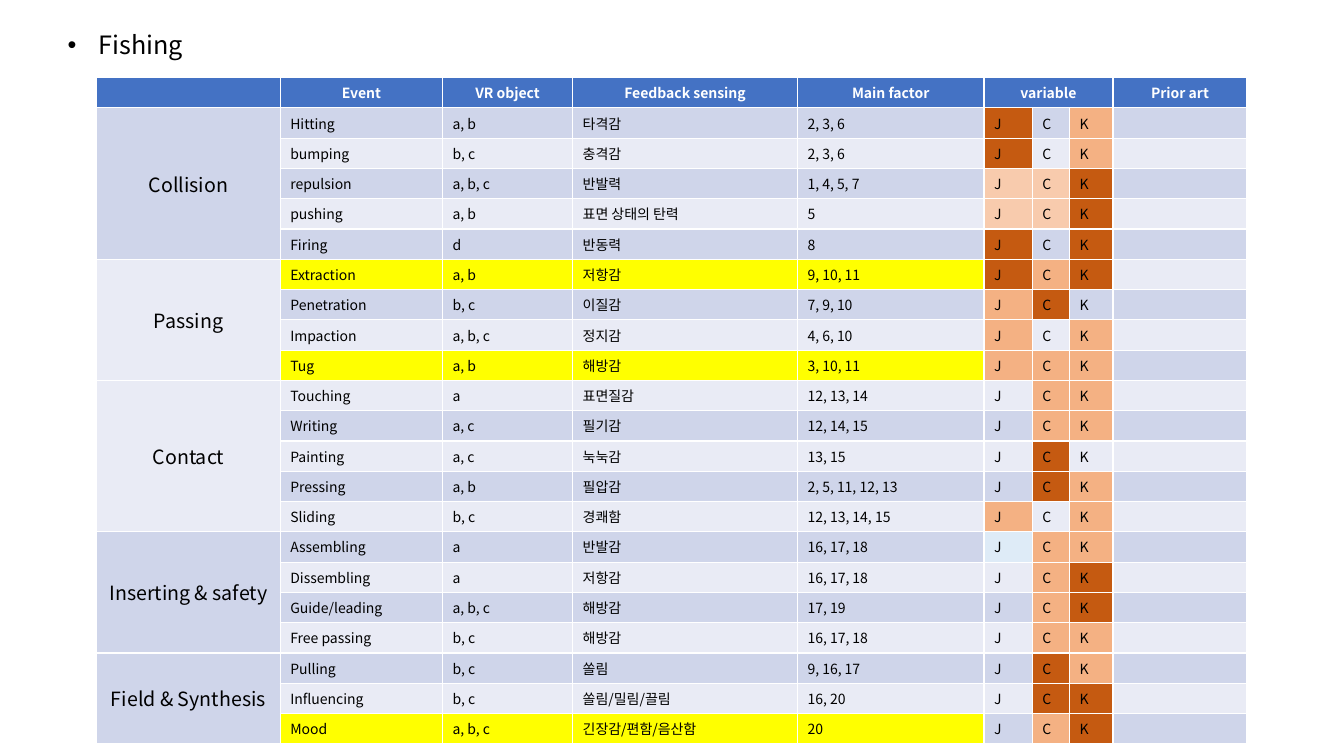
from itertools import accumulate

from lxml.etree import SubElement
from pptx import Presentation
from pptx.dml.color import RGBColor
from pptx.enum.text import MSO_ANCHOR as Anchor, PP_ALIGN as Align
from pptx.oxml.ns import qn
from pptx.util import Inches, Pt

FONT = "Noto Sans CJK KR"
COLORS = {
    "header": "4472C4", "white": "FFFFFF", "black": "000000",
    "odd": "CFD5EA", "even": "E9EBF5", "highlight": "FFFF00",
    "strong": "C55A11", "medium": "F4B183", "light": "F8CBAD", "blue": "DEEBF7",
}
# One letter per variable J, C, K; "." keeps the band colour
LEVELS = {"S": "strong", "M": "medium", "L": "light", "B": "blue"}
VARIABLES = "JCK"
FIRST_VARIABLE = 5

HEADERS = ["", "Event", "VR object", "Feedback sensing", "Main factor",
           "variable", "", "", "Prior art"]
COLUMN_WIDTHS = [1.82, 1.61, 1.29, 2.23, 1.85, 0.48, 0.37, 0.43, 1.33]
ROW_HEIGHT = 0.3
HIGHLIGHTED = {"Extraction", "Tug", "Mood"}

CATEGORIES = {
    "Collision": [
        ("Hitting", "a, b", "타격감", "2, 3, 6", "S.M"),
        ("bumping", "b, c", "충격감", "2, 3, 6", "S.M"),
        ("repulsion", "a, b, c", "반발력", "1, 4, 5, 7", "LLS"),
        ("pushing", "a, b", "표면 상태의 탄력", "5", "LLS"),
        ("Firing", "d", "반동력", "8", "S.S"),
    ],
    "Passing": [
        ("Extraction", "a, b", "저항감", "9, 10, 11", "SMS"),
        ("Penetration", "b, c", "이질감", "7, 9, 10", "MS."),
        ("Impaction", "a, b, c", "정지감", "4, 6, 10", "M.M"),
        ("Tug", "a, b", "해방감", "3, 10, 11", "MMM"),
    ],
    "Contact": [
        ("Touching", "a", "표면질감", "12, 13, 14", ".MM"),
        ("Writing", "a, c", "필기감", "12, 14, 15", ".MM"),
        ("Painting", "a, c", "눅눅감", "13, 15", ".S."),
        ("Pressing", "a, b", "필압감", "2, 5, 11, 12, 13", ".SM"),
        ("Sliding", "b, c", "경쾌함", "12, 13, 14, 15", "M.M"),
    ],
    "Inserting & safety": [
        ("Assembling", "a", "반발감", "16, 17, 18", "BMM"),
        ("Dissembling", "a", "저항감", "16, 17, 18", ".MS"),
        ("Guide/leading", "a, b, c", "해방감", "17, 19", ".MS"),
        ("Free passing", "b, c", "해방감", "16, 17, 18", ".MM"),
    ],
    "Field & Synthesis": [
        ("Pulling", "b, c", "쏠림", "9, 16, 17", ".SM"),
        ("Influencing", "b, c", "쏠림/밀림/끌림", "16, 20", ".SS"),
        ("Mood", "a, b, c", "긴장감/편함/음산함", "20", ".MS"),
    ],
}


def rgb(name):
    return RGBColor.from_string(COLORS[name])


def set_font(paragraph, size, color="black", bold=False):
    font = paragraph.font
    font.name, font.size, font.bold = FONT, Pt(size), bold
    font.color.rgb = rgb(color)
    # East Asian typeface for the Korean text
    latin = paragraph._p.pPr.find(qn("a:defRPr")).find(qn("a:latin"))
    east_asian = SubElement(latin.getparent(), qn("a:ea"), typeface=FONT)
    latin.addnext(east_asian)
    if not paragraph.runs:
        paragraph._p.get_or_add_endParaRPr().set("sz", str(size * 100))


def fill_cell(cell, text, fill, size=10, color="black", bold=False, align=Align.LEFT):
    cell.fill.solid()
    cell.fill.fore_color.rgb = rgb(fill)
    cell.text = text
    paragraph = cell.text_frame.paragraphs[0]
    paragraph.alignment = align
    set_font(paragraph, size, color, bold)


def add_heading(slide, left, top, width, height):
    heading = slide.shapes.title
    heading.left, heading.top = Inches(left), Inches(top)
    heading.width, heading.height = Inches(width), Inches(height)
    heading.text = "Fishing"
    heading.text_frame.vertical_anchor = Anchor.TOP
    paragraph = heading.text_frame.paragraphs[0]
    paragraph.alignment = Align.LEFT
    paragraph.line_spacing = 0.9
    set_font(paragraph, 18)
    # Bullet with hanging indent, ahead of the font properties
    properties = paragraph._p.pPr
    properties.set("marL", str(Inches(0.31)))
    properties.set("indent", str(Inches(-0.31)))
    defaults = properties.find(qn("a:defRPr"))
    defaults.addprevious(SubElement(properties, qn("a:buFont"), typeface="Arial"))
    defaults.addprevious(SubElement(properties, qn("a:buChar"), char="•"))


def fill_event_row(table, row, event):
    band = "odd" if row % 2 else "even"
    *details, levels = event
    detail_fill = "highlight" if event[0] in HIGHLIGHTED else band
    fill_cell(table.cell(row, 0), "", band)
    for column, detail in enumerate(details, 1):
        fill_cell(table.cell(row, column), detail, detail_fill)
    for column, (variable, level) in enumerate(zip(VARIABLES, levels), FIRST_VARIABLE):
        fill_cell(table.cell(row, column), variable, LEVELS.get(level, band))
    fill_cell(table.cell(row, len(HEADERS) - 1), "", band)


def add_event_table(slide, left, top, width):
    events = [event for group in CATEGORIES.values() for event in group]
    row_count = len(events) + 1
    table = slide.shapes.add_table(
        row_count, len(HEADERS), Inches(left), Inches(top),
        Inches(width), Inches(ROW_HEIGHT * row_count)).table
    for column, column_width in zip(table.columns, COLUMN_WIDTHS):
        column.width = Inches(column_width * width / sum(COLUMN_WIDTHS))
    for row in table.rows:
        row.height = Inches(ROW_HEIGHT)

    # Header row
    for column, header in enumerate(HEADERS):
        fill_cell(table.cell(0, column), header, "header",
                  color="white", bold=True, align=Align.CENTER)
    table.cell(0, FIRST_VARIABLE).merge(
        table.cell(0, FIRST_VARIABLE + len(VARIABLES) - 1))

    # Event rows
    for row, event in enumerate(events, 1):
        fill_event_row(table, row, event)

    # Category cells, each spanning its events
    sizes = [len(group) for group in CATEGORIES.values()]
    for category, size, last in zip(CATEGORIES, sizes, accumulate(sizes)):
        first = last - size + 1
        category_cell = table.cell(first, 0)
        fill_cell(category_cell, category, "odd" if first % 2 else "even",
                  size=14, align=Align.CENTER)
        category_cell.vertical_anchor = Anchor.MIDDLE
        category_cell.merge(table.cell(last, 0))


def main():
    deck = Presentation()
    deck.slide_width, deck.slide_height = Inches(13.33), Inches(7.5)
    slide = deck.slides.add_slide(deck.slide_layouts[5])
    add_event_table(slide, 0.96, 0.77, 11.41)
    add_heading(slide, 0.57, 0.27, 3.79, 0.5)
    deck.save("out.pptx")


if __name__ == "__main__":
    main()
